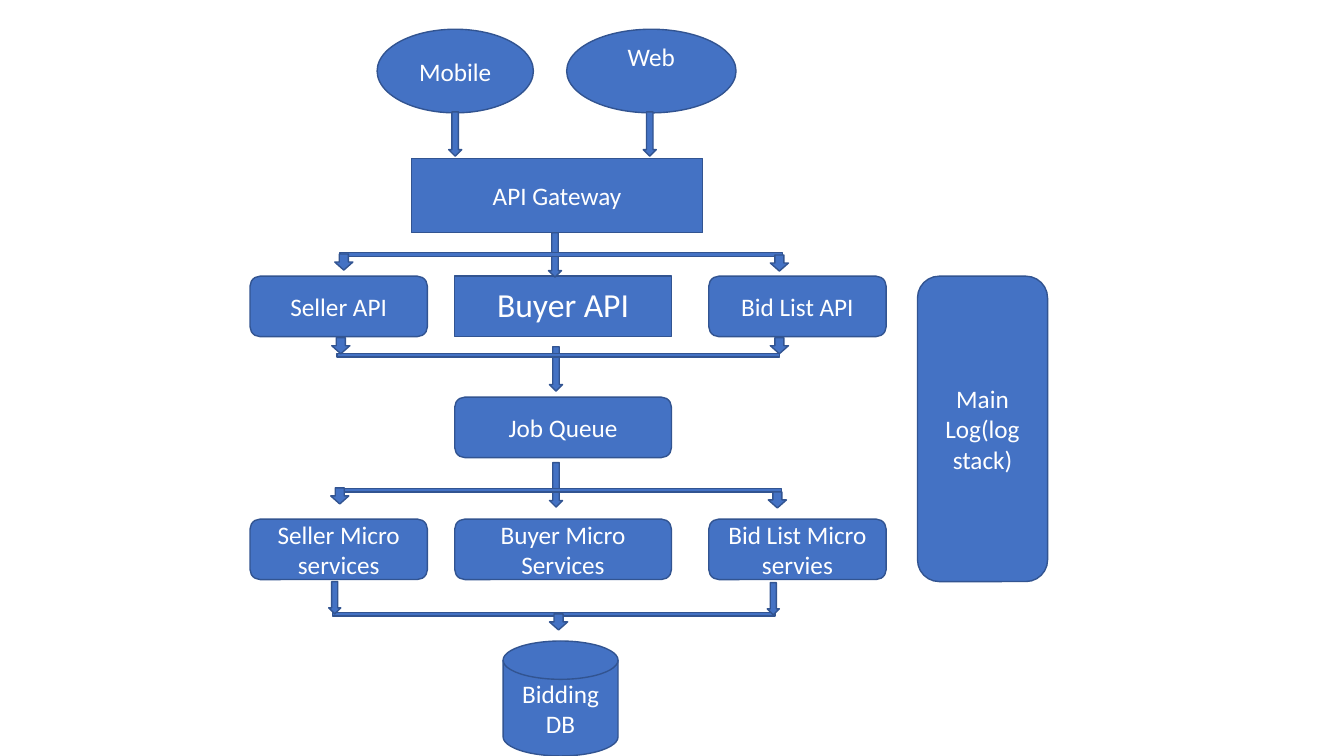
import pptx
import pptx.util
import pptx.dml.color
import pptx.enum.shapes
import pptx.enum.text

Inches = pptx.util.Inches
Pt = pptx.util.Pt
Kind = pptx.enum.shapes.MSO_SHAPE
Anchor = pptx.enum.text.MSO_ANCHOR
COLORS = {"fill": "4472C4", "line": "325491", "text": "FFFFFF"}

presentation = pptx.Presentation()
presentation.slide_width = Inches(13.33)
presentation.slide_height = Inches(7.5)
slide = presentation.slides.add_slide(presentation.slide_layouts[6])


def color(name):
    return pptx.dml.color.RGBColor.from_string(COLORS[name])


def add_block(kind, left, top, width, height, text="", size=18):
    shape = slide.shapes.add_shape(
        kind, Inches(left), Inches(top), Inches(width), Inches(height))
    shape.shadow.inherit = False
    shape.fill.solid()
    shape.fill.fore_color.rgb = color("fill")
    shape.line.color.rgb = color("line")
    shape.line.width = Pt(1)
    if text:
        frame = shape.text_frame
        frame.word_wrap = True
        frame.vertical_anchor = Anchor.MIDDLE
        paragraph = frame.paragraphs[0]
        paragraph.alignment = pptx.enum.text.PP_ALIGN.CENTER
        run = paragraph.add_run()
        run.text = text
        run.font.name = "Calibri"
        run.font.size = Pt(size)
        run.font.color.rgb = color("text")
    return shape


add_block(Kind.OVAL, 3.74, 0.29, 1.55, 0.83, "Mobile")
web = add_block(Kind.OVAL, 5.62, 0.29, 1.68, 0.83, "Web")
web.text_frame.vertical_anchor = Anchor.TOP
web.text_frame.margin_top = 0
add_block(Kind.RECTANGLE, 4.08, 1.57, 2.89, 0.74, "API Gateway")

columns = [(2.48, 1.76), (4.51, 2.15), (7.03, 1.76)]
service_rows = [
    (2.74, ["Seller API", "Buyer API", "Bid List API"]),
    (3.94, ["", "Job Queue", ""]),
    (5.15, ["Seller Micro services", "Buyer Micro Services", "Bid List Micro servies"]),
]
for top, labels in service_rows:
    for (left, width), label in zip(columns, labels):
        if label == "Buyer API":
            buyer_api = add_block(Kind.RECTANGLE, left, top, width, 0.6, label, 24)
            buyer_api.text_frame.paragraphs[0].line_spacing = 0.9
            buyer_api.text_frame.paragraphs[0].space_before = Pt(10)
        elif label:
            add_block(Kind.ROUNDED_RECTANGLE, left, top, width, 0.6, label)

add_block(Kind.FLOWCHART_MAGNETIC_DISK, 4.99, 6.36, 1.14, 1.14, "Bidding DB")
add_block(Kind.ROUNDED_RECTANGLE, 9.1, 2.74, 1.29, 3.03, "Main Log(log stack)")

for left, top in [(4.45, 1.11), (6.38, 1.11), (5.44, 2.31), (5.45, 3.44), (5.45, 4.59)]:
    add_block(Kind.DOWN_ARROW, left, top, 0.13, 0.44)

for left, top in [(2.58, 2.45), (2.55, 3.45), (2.57, 4.79), (2.51, 6.02)]:
    add_block(Kind.MATH_MINUS, left, top, 5.97, 0.15)

short_arrows = [(3.32, 2.52), (7.64, 2.53), (3.29, 3.35), (7.64, 3.35),
                (3.28, 4.84), (7.62, 4.88), (5.45, 6.09)]
for left, top in short_arrows:
    add_block(Kind.DOWN_ARROW, left, top, 0.18, 0.16)

for left, top in [(3.26, 5.77), (7.61, 5.78)]:
    add_block(Kind.DOWN_ARROW, left, top, 0.12, 0.32)

presentation.save("out.pptx")
